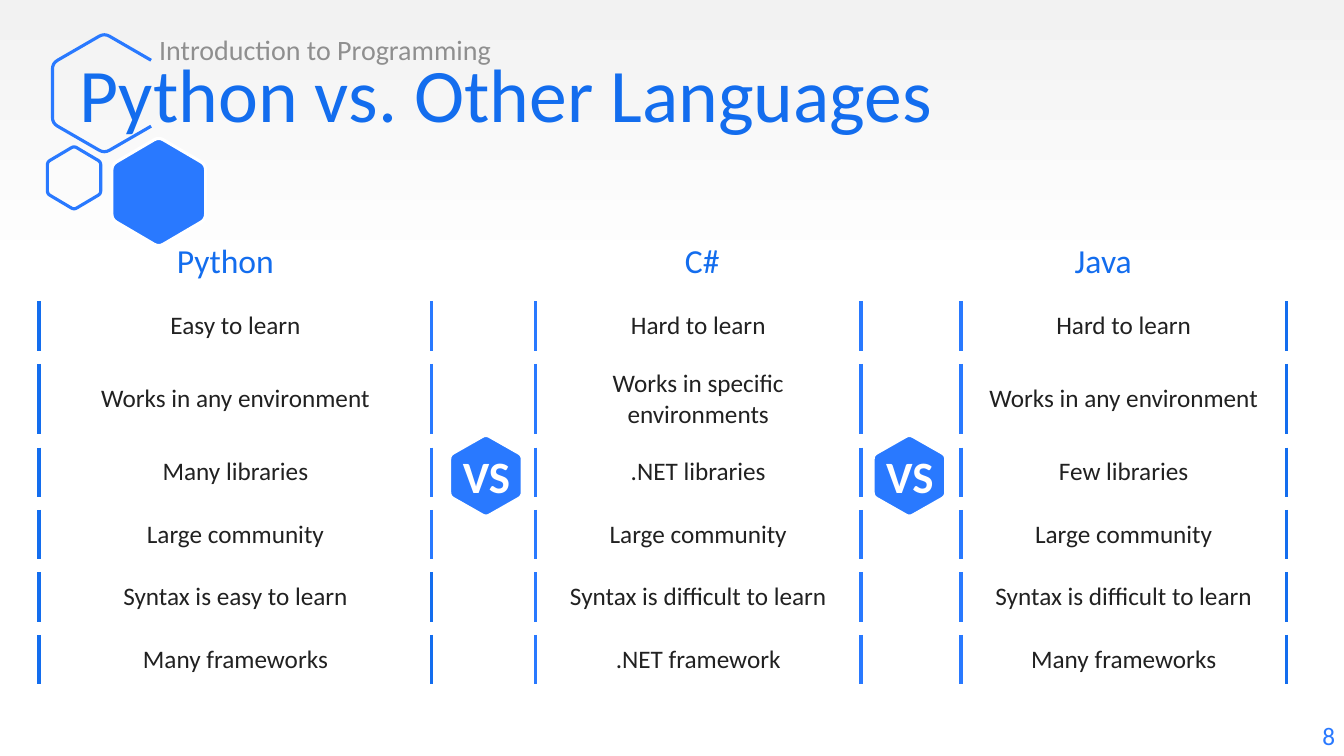
import copy
import pptx
import pptx.util
import pptx.dml.color
import pptx.enum.text
import pptx.oxml
import pptx.oxml.ns

ALIGN = pptx.enum.text.PP_ALIGN
MIDDLE = pptx.enum.text.MSO_ANCHOR.MIDDLE
UNIT = pptx.util.Inches(0.1)  # side of one grid cell: 133.3 columns, 75 rows
BLUE, DEEP, WHITE, INK, GREY = "2979FF", "136DEE", "FFFFFF", "212121", "8F8F8F"
PLAIN = "{2D5ABB26-0587-4C30-8999-92F81FD0307C}"

HEADS = [
    ("Python", dict(margin_right=3), ALIGN.CENTER),
    ("C#", dict(margin_left=1.8), ALIGN.CENTER),
    ("Java", dict(margin_left=11.3), ALIGN.LEFT),
]
ROWS = [
    ("Easy to learn", "Hard to learn", "Hard to learn"),
    ("Works in any environment", "Works in specific environments",
     "Works in any environment"),
    ("Many libraries", ".NET libraries", "Few libraries"),
    ("Large community", "Large community", "Large community"),
    ("Syntax is easy to learn", "Syntax is difficult to learn",
     "Syntax is difficult to learn"),
    ("Many frameworks", ".NET framework", "Many frameworks"),
]
WIDTHS = [38.9, 10.3, 32.3, 9.9, 32.3]
HEAD, GAP, LINE, TALL = 5.1, 1.3, 4.9, 6.8


def size(cells):
    return pptx.util.Emu(round(cells * UNIT))


def rgb(code):
    return pptx.dml.color.RGBColor.from_string(code)


def apply(item, values):
    for name, value in values.items():
        setattr(item, name, value)


def curve(start, corner, end, steps=4):
    """Points of a rounded corner."""
    for n in range(steps + 1):
        t = n / steps
        yield tuple((1 - t) ** 2 * a + 2 * t * (1 - t) * b + t * t * c
                    for a, b, c in zip(start, corner, end))


class Deck:
    """Holds the style and the current slide; lengths are grid cells."""

    def __init__(self, wide, high, font):
        self.show = pptx.Presentation()
        self.show.slide_width = size(wide)
        self.show.slide_height = size(high)
        self.font = font
        self.slide = self.show.slides.add_slide(self.show.slide_layouts[6])

    def shade(self, first, last, stop):
        """Grade the background downwards, plain after the stop."""
        fill = self.slide.background.fill
        fill.gradient()
        fill.gradient_angle = 270
        for mark, code, place in zip(fill.gradient_stops, (first, last), (0, stop)):
            mark.color.rgb = rgb(code)
            mark.position = place
        marks = next(self.slide.element.iter(pptx.oxml.ns.qn("a:gsLst")))
        marks.append(copy.deepcopy(marks[1]))
        marks[2].set("pos", "100000")

    def label(self, frame, text, points, code, align=ALIGN.LEFT, bold=False):
        para = frame.paragraphs[0]
        para.alignment = align
        run = para.add_run()
        run.text = text
        apply(run.font, dict(name=self.font, size=pptx.util.Pt(points), bold=bold))
        run.font.color.rgb = rgb(code)

    def text(self, box, text, points, code, wrap=True, anchor=None, **style):
        frame = self.slide.shapes.add_textbox(*map(size, box)).text_frame
        apply(frame, dict(word_wrap=wrap, vertical_anchor=anchor))
        self.label(frame, text, points, code, **style)

    def hexagon(self, box, fill=None, line=BLUE, is_open=False):
        """Rounded hexagon with a point on top; may be open on the right."""
        left, top, wide, high = box
        shares = [(1, .75), (.5, 1), (0, .75), (0, .25), (.5, 0), (1, .25)]
        tips = [(left + x * wide, top + y * high) for x, y in shares]
        dots = []
        for n, tip in enumerate(tips):
            ends = [tuple(a + 0.1 * (b - a) for a, b in zip(tip, tips[k % 6]))
                    for k in (n - 1, n + 1)]
            if is_open and n in (0, 5):
                dots.append(ends[n == 0])
            else:
                dots.extend(curve(ends[0], tip, ends[1]))
        dots = [(size(x), size(y)) for x, y in dots]
        pen = self.slide.shapes.build_freeform(*dots[0])
        pen.add_line_segments(dots[1:], close=not is_open)
        shape = pen.convert_to_shape()
        shape.shadow.inherit = False
        if fill:
            shape.fill.solid()
            shape.fill.fore_color.rgb = rgb(fill)
        else:
            shape.fill.background()
        shape.line.color.rgb = rgb(line)
        shape.line.width = pptx.util.Pt(2.25)

    def badge(self, left):
        self.hexagon((left, 43.1, 7.2, 8.2), BLUE, WHITE)
        self.text((left + 0.3, 44, 6.7, 6.4), "VS", 32, WHITE, wrap=False,
                  align=ALIGN.CENTER, bold=True)

    def edge(self, cell, side, code):
        line = pptx.oxml.parse_xml(
            f'<a:ln{side} {pptx.oxml.ns.nsdecls("a")} w="38100"><a:solidFill>'
            f'<a:srgbClr val="{code}"/></a:solidFill></a:ln{side}>')
        cell._tc.get_or_add_tcPr().insert(0, line)

    def table(self, left, top, widths, heights):
        box = map(size, (left, top, sum(widths), sum(heights)))
        table = self.slide.shapes.add_table(len(heights), len(widths), *box).table
        apply(table, dict(first_row=False, horz_banding=False))
        table._tbl.tblPr[0].text = PLAIN
        for column, wide in zip(table.columns, widths):
            column.width = size(wide)
        for row, high in zip(table.rows, heights):
            row.height = size(high)
            for cell in row.cells:
                cell.fill.background()
                cell.vertical_anchor = MIDDLE
                if high == GAP:
                    apply(cell, dict(margin_top=0, margin_bottom=0))
                    end = pptx.oxml.parse_xml(
                        f'<a:endParaRPr {pptx.oxml.ns.nsdecls("a")} sz="400"/>')
                    cell.text_frame.paragraphs[0]._p.append(end)
        return table


def compare(deck):
    """Fill the table of the three languages."""
    heights = [HEAD]
    for n in range(len(ROWS)):
        heights += [GAP, TALL if n == 1 else LINE]
    table = deck.table(3.9, 23.5, WIDTHS, heights)
    for n, (name, margins, align) in enumerate(HEADS):
        cell = table.cell(0, 2 * n)
        apply(cell, {key: size(value) for key, value in margins.items()})
        deck.label(cell.text_frame, name, 24, DEEP, align)
    for n, words in enumerate(ROWS):
        row = 2 * n + 2
        for k, word in enumerate(words):
            deck.label(table.cell(row, 2 * k).text_frame, word, 18, INK, ALIGN.CENTER)
        codes = [DEEP, DEEP if n > 3 else BLUE, BLUE, BLUE, BLUE, DEEP]
        for k in range(len(WIDTHS)):
            deck.edge(table.cell(row, k), "R", codes[k + 1])
            deck.edge(table.cell(row, k), "L", codes[k])


def main():
    deck = Deck(133.3, 75, "Calibri")
    deck.shade("F2F2F2", WHITE, 0.37)
    deck.hexagon((5.2, 3.3, 10.3, 11.9), is_open=True)
    deck.hexagon((4.7, 14.5, 5.3, 6.3))
    deck.hexagon((11.1, 13.6, 9.3, 10.9), BLUE, WHITE)
    for left in (44.6, 86.6):
        deck.badge(left)
    deck.text((115.8, 71, 17.6, 4), "8", 18, BLUE, align=ALIGN.RIGHT)
    deck.text((6.9, 3.2, 114.8, 12), "Python vs. Other Languages", 54, DEEP,
              anchor=MIDDLE)
    deck.text((14.8, 2.7, 44.5, 3.6), "Introduction to Programming", 20, GREY)
    compare(deck)
    deck.show.save("out.pptx")


if __name__ == "__main__":
    main()
